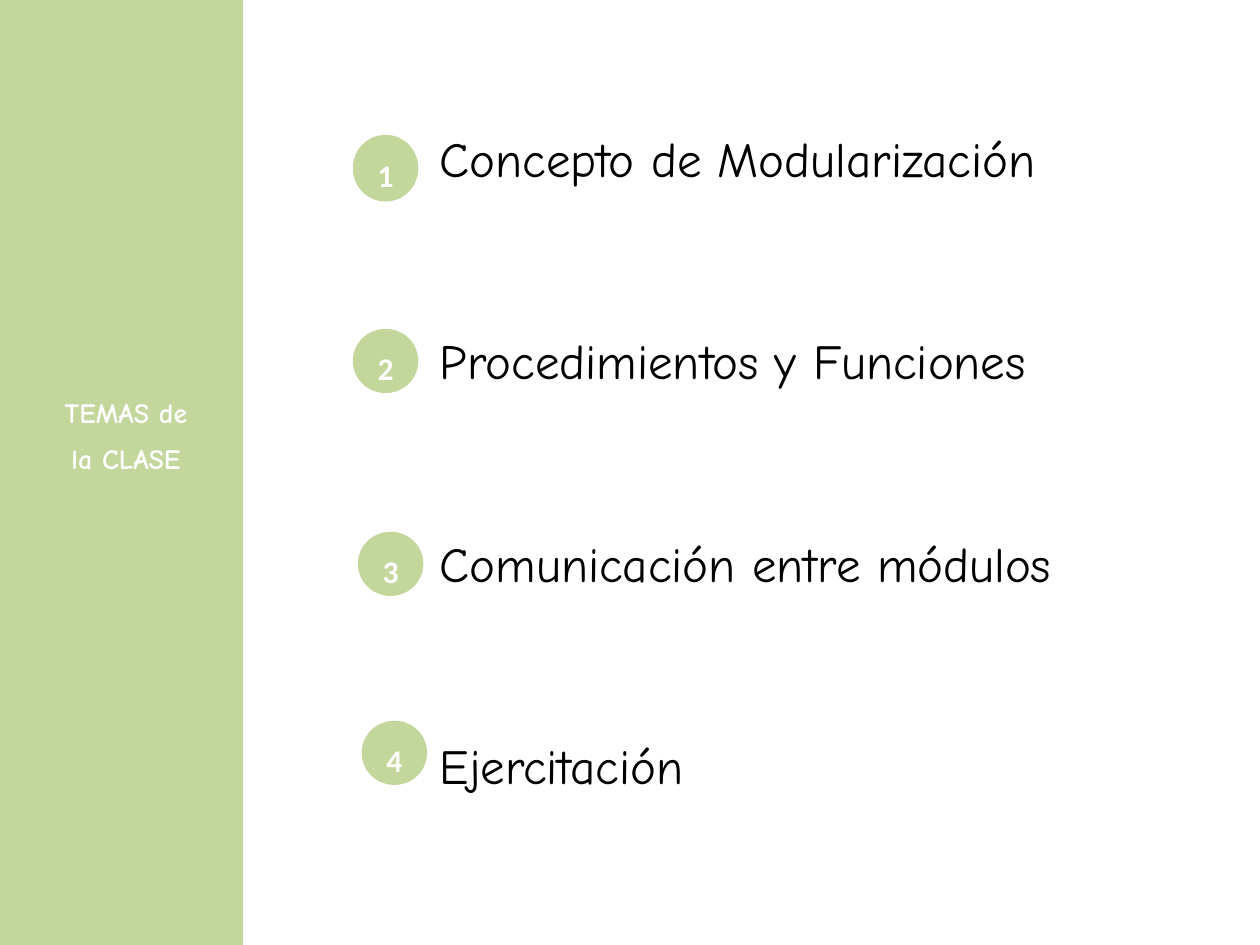
"""Builds the agenda slide with the four topics of the class."""
import pptx
import pptx.util
import pptx.dml.color
import pptx.enum.shapes
import pptx.enum.text
import pptx.oxml.ns
import lxml.etree

Inches, Pt = pptx.util.Inches, pptx.util.Pt
SHAPES = pptx.enum.shapes.MSO_SHAPE
ANCHOR = pptx.enum.text.MSO_ANCHOR
CENTER = pptx.enum.text.PP_ALIGN.CENTER
GREEN, WHITE, BLACK = "C3D69B", "FFFFFF", "000000"


def paint(color_format, hex_color):
    color_format.rgb = pptx.dml.color.RGBColor.from_string(hex_color)


def add_run(paragraph, text, font, size, hex_color, bold=False):
    run = paragraph.add_run()
    run.text = text
    run.font.name = font
    run.font.size = Pt(size)
    run.font.bold = bold
    paint(run.font.color, hex_color)


deck = pptx.Presentation()
deck.slide_width, deck.slide_height = Inches(10), Inches(7.5)
slide = deck.slides.add_slide(deck.slide_layouts[1])
heading, topic_list = slide.placeholders

sidebar = slide.shapes.add_shape(SHAPES.RECTANGLE, 0, 0, Inches(1.93), Inches(7.5))
sidebar.shadow.inherit = False
sidebar.fill.solid()
paint(sidebar.fill.fore_color, GREEN)
sidebar.line.fill.background()
slide.shapes._spTree.remove(sidebar._element)
slide.shapes._spTree.insert(2, sidebar._element)

heading.left, heading.top = Inches(0.39), Inches(3)
heading.width, heading.height = Inches(1.22), Inches(0.82)
heading.text_frame.auto_size = pptx.enum.text.MSO_AUTO_SIZE.NONE
heading.text_frame.vertical_anchor = ANCHOR.TOP
heading_line = heading.text_frame.paragraphs[0]
heading_line.alignment = CENTER
heading_line.line_spacing = 1.35
heading_line.space_before = Pt(4)
add_run(heading_line, "TEMAS de la CLASE", "Comic Neue", 16, WHITE, True)

topic_list.left, topic_list.top = Inches(2.89), Inches(0.97)
topic_list.width, topic_list.height = Inches(5.95), Inches(5.73)
topic_list.text_frame.auto_size = pptx.enum.text.MSO_AUTO_SIZE.NONE

topics = [
    ("Concepto de Modularización", 2.8, 1.07, 0.53),
    ("Procedimientos y Funciones", 2.8, 2.61, 0.51),
    ("Comunicación entre módulos", 2.84, 4.22, 0.51),
    ("Ejercitación", 2.87, 5.72, 0.51),
]
for number, (topic, left, top, height) in enumerate(topics, 1):
    frame = topic_list.text_frame
    topic_line = frame.paragraphs[0] if number == 1 else frame.add_paragraph()
    topic_line.space_before = Pt(12 if number == 1 else 70)
    topic_line.space_after = Pt(12)
    properties = topic_line._p.get_or_add_pPr()
    properties.set("marL", str(Inches(0.5)))
    properties.set("indent", "0")
    lxml.etree.SubElement(properties, pptx.oxml.ns.qn("a:buNone"))
    add_run(topic_line, topic, "Comic Neue", 28, BLACK)

    badge = slide.shapes.add_shape(
        SHAPES.OVAL, Inches(left), Inches(top), Inches(0.52), Inches(height))
    badge.shadow.inherit = False
    badge.fill.solid()
    paint(badge.fill.fore_color, GREEN)
    badge.line.fill.background()
    badge.text_frame.vertical_anchor = ANCHOR.MIDDLE
    badge_line = badge.text_frame.paragraphs[0]
    badge_line.alignment = CENTER
    badge_line.line_spacing = 1.35
    badge_line.space_before = Pt(4.5)
    add_run(badge_line, str(number), "Calibri", 18, WHITE, True)

deck.save("out.pptx")
